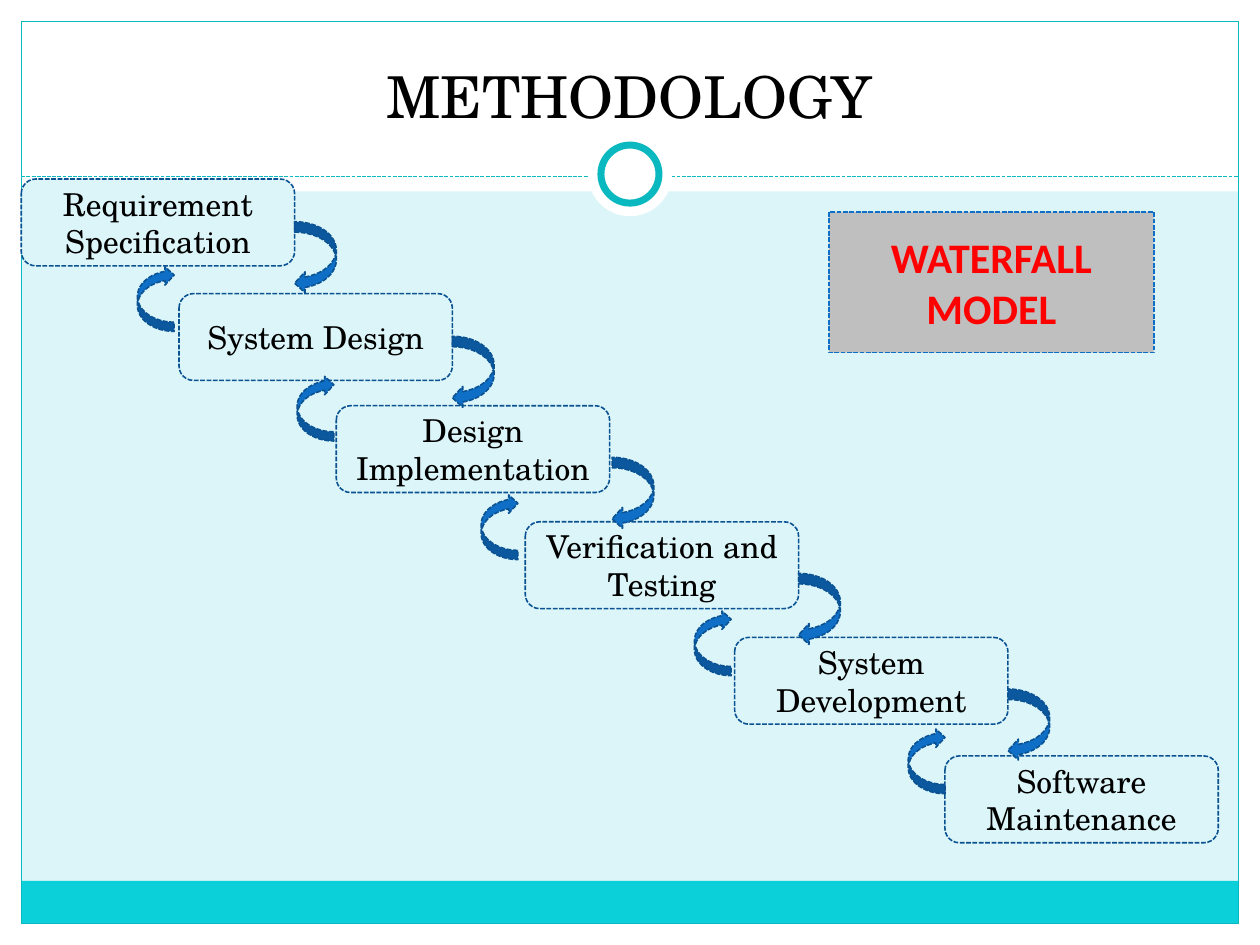
from lxml import etree
from pptx import Presentation
from pptx.dml.color import RGBColor
from pptx.enum import dml, shapes, text
from pptx.oxml.ns import qn
from pptx.util import Cm, Pt

SERIF = "TeX Gyre Schola"
PALE, TURQUOISE, DARK_TURQUOISE = "DBF5F9", "0BD0D9", "0AB8BF"
BLUE, NAVY = "0F6FC6", "0B5292"
WHITE, BLACK = "FFFFFF", "000000"
KIND = shapes.MSO_SHAPE

SLIDE_W, SLIDE_H = 25.4, 19.05
EDGE = 0.43
STEP_W, STEP_H = 5.51, 1.75

# label, left, top
STEPS = [
    ("Requirement Specification", 0.43, 3.61),
    ("System Design", 3.61, 5.92),
    ("Design Implementation", 6.78, 8.18),
    ("Verification and Testing", 10.59, 10.52),
    ("System Development", 14.81, 12.85),
    ("Software Maintenance", 19.05, 15.24),
]
# Forward arrow from the upper step's top right corner,
# return arrow from the next step's left and the upper step's bottom
ARROW_OFFSETS = [
    ((0, 0.86), (-0.84, 0)),
    ((0, 0.86), (-0.79, -0.1)),
    ((0.05, 1.04), (-0.89, 0.03)),
    ((0, 1.04), (-0.81, 0.03)),
    ((0, 1.04), (-0.74, 0.08)),
]


def color(hex_string):
    return RGBColor.from_string(hex_string)


def set_line(line, hex_string, width, dashed):
    line.color.rgb = color(hex_string)
    line.width = Pt(width)
    if dashed:
        # SQUARE_DOT is stored as sysDot, ROUND_DOT would be too loose
        dash = etree.SubElement(line._get_or_add_ln(), qn("a:prstDash"))
        dash.set("val", "sysDash")


def add_block(slide, kind, box, fill=None, line=None, width=0.9, dashed=True):
    block = slide.shapes.add_shape(kind, *map(Cm, box))
    block.shadow.inherit = False
    if fill:
        block.fill.solid()
        block.fill.fore_color.rgb = color(fill)
    else:
        block.fill.background()
    if line:
        set_line(block.line, line, width, dashed)
    else:
        block.line.fill.background()
    return block


def write(shape, words, anchor=text.MSO_ANCHOR.MIDDLE, **font_format):
    frame = shape.text_frame
    frame.text = words
    for name, value in {"word_wrap": True, "vertical_anchor": anchor,
                        "auto_size": text.MSO_AUTO_SIZE.NONE}.items():
        setattr(frame, name, value)
    paragraph = frame.paragraphs[0]
    paragraph.alignment = text.PP_ALIGN.CENTER
    font = paragraph.runs[0].font
    font.color.rgb = color(font_format.pop("ink", BLACK))
    for name, value in font_format.items():
        setattr(font, name, value)


def add_frame(slide, left, top, width, height):
    """White margins, title band, footer strip and border of the whole slide."""
    right, bottom = left + width - EDGE, top + height - EDGE
    inner_w, inner_h = width - 2 * EDGE, height - 2 * EDGE
    strips = [
        (left, bottom, width, EDGE, WHITE),
        (left, top, width, 3.86, WHITE),
        (left, top, EDGE, height, WHITE),
        (right, top, EDGE, height, WHITE),
        (left + EDGE, bottom - 0.86, inner_w, 0.86, TURQUOISE),
    ]
    for *box, fill in strips:
        add_block(slide, KIND.RECTANGLE, box, fill)
    add_block(slide, KIND.RECTANGLE, (left + EDGE, top + EDGE, inner_w, inner_h),
              line=DARK_TURQUOISE, width=0.75, dashed=False)

    rule_y = top + 3.56
    rule = slide.shapes.add_connector(
        shapes.MSO_CONNECTOR.STRAIGHT,
        Cm(left + EDGE), Cm(rule_y), Cm(right), Cm(rule_y))
    set_line(rule.line, DARK_TURQUOISE, 0.75, True)
    etree.SubElement(rule._element.spPr, qn("a:effectLst"))

    center_x, center_y = left + width / 2, top + 3.51
    for size, line in ((1.7, None), (1.17, DARK_TURQUOISE)):
        box = (center_x - size / 2, center_y - size / 2, size, size)
        add_block(slide, KIND.OVAL, box, WHITE, line, 4, False)


def add_title(slide, left, top, width, height):
    title = slide.shapes.title
    for name, value in {"left": left, "top": top,
                        "width": width, "height": height}.items():
        setattr(title, name, Cm(value))
    write(title, "METHODOLOGY", text.MSO_ANCHOR.BOTTOM, name=SERIF, size=Pt(33))
    slide.shapes._spTree.append(title._element)  # in front of the title band


def add_steps(slide):
    for label, left, top in STEPS:
        step = add_block(slide, KIND.ROUNDED_RECTANGLE,
                         (left, top, STEP_W, STEP_H), PALE, NAVY)
        write(step, label, name=SERIF, size=Pt(18))


def add_arrows(slide):
    """Join each step to the next one and back again."""
    for upper, lower, (forward, back) in zip(STEPS, STEPS[1:], ARROW_OFFSETS):
        _, left, top = upper
        _, next_left, _ = lower
        add_block(slide, KIND.CURVED_LEFT_ARROW,
                  (left + STEP_W + forward[0], top + forward[1], 0.84, 1.45),
                  BLUE, NAVY)
        return_arrow = add_block(
            slide, KIND.CURVED_LEFT_ARROW,
            (next_left + back[0], top + STEP_H + back[1], 0.74, 1.32), BLUE, NAVY)
        return_arrow.rotation = 180


def add_model_name(slide, *box):
    panel = add_block(slide, KIND.RECTANGLE, box, "BFBFBF", BLUE)
    write(panel, "WATERFALL MODEL", name="Calibri", size=Pt(24), bold=True,
          ink="FF0000")


def main():
    deck = Presentation()
    deck.slide_width, deck.slide_height = Cm(SLIDE_W), Cm(SLIDE_H)
    slide = deck.slides.add_slide(deck.slide_layouts[5])
    slide.background.fill.solid()
    slide.background.fill.fore_color.rgb = color(PALE)

    add_frame(slide, 0, 0, SLIDE_W, SLIDE_H)
    add_title(slide, 0.84, 0.64, 23.7, 2.11)
    add_steps(slide)
    add_model_name(slide, 16.71, 4.27, 6.55, 2.84)
    add_arrows(slide)
    deck.save("out.pptx")


if __name__ == "__main__":
    main()
